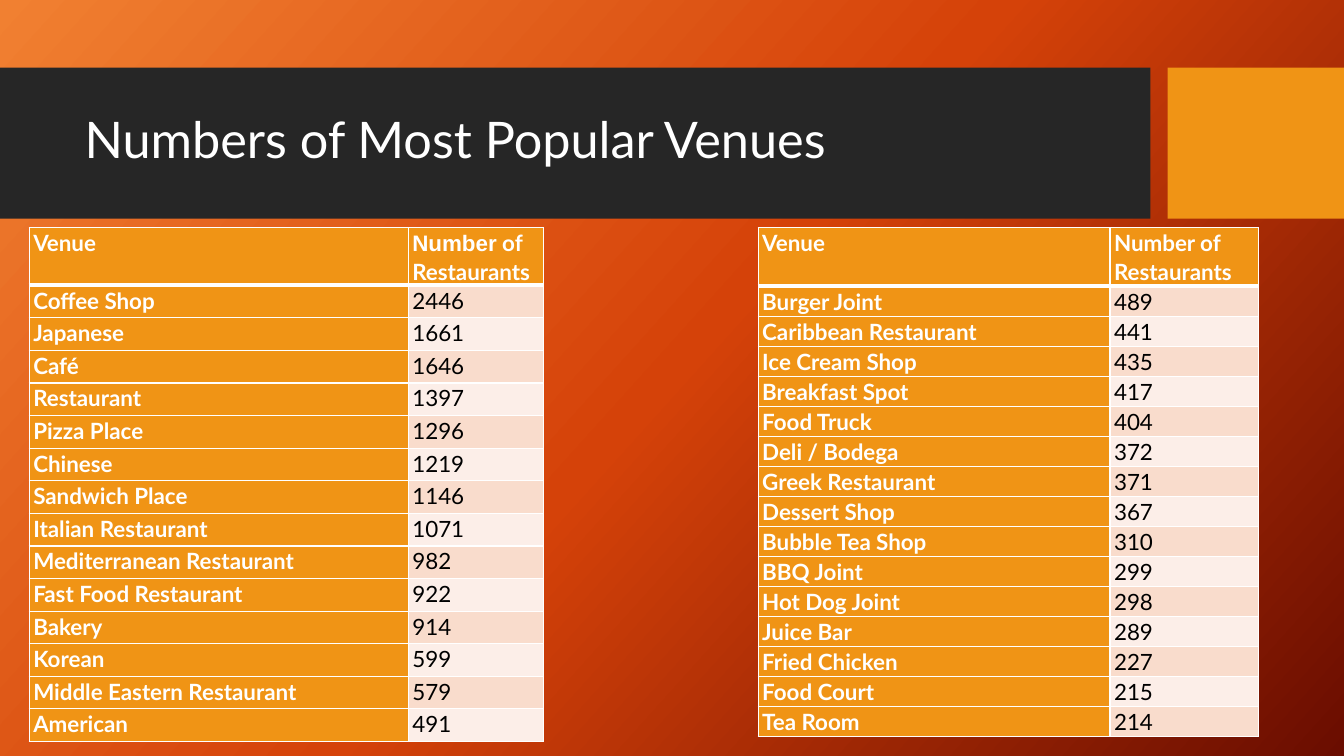
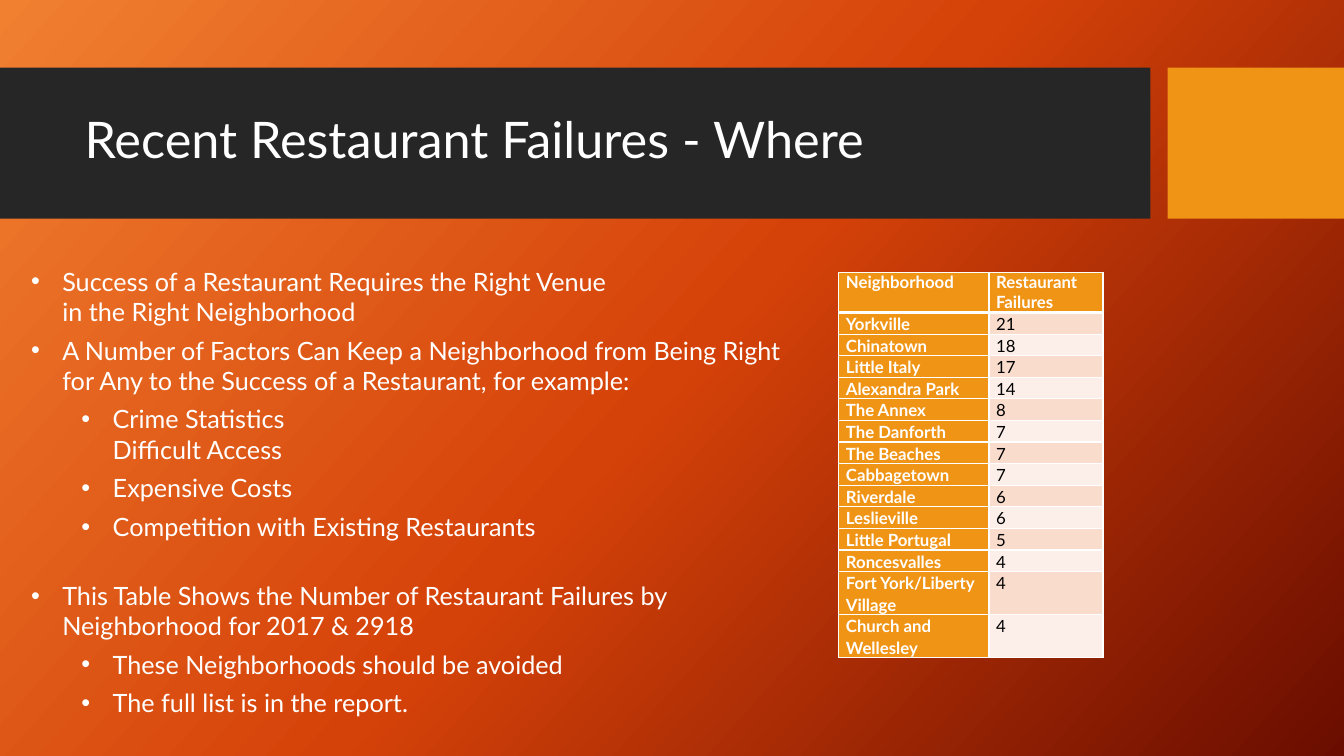
from pptx import Presentation
from pptx.dml.color import RGBColor as RGB
from pptx.enum.shapes import MSO_SHAPE as Shape
from pptx.enum.text import MSO_ANCHOR as Anchor
from pptx.oxml import parse_xml
from pptx.oxml.ns import nsdecls, qn
from pptx.util import Emu, Pt

PX = 9144
FONT = "Lato"
WHITE = RGB(0xFF, 0xFF, 0xFF)
BLACK = RGB(0x00, 0x00, 0x00)
CHARCOAL = RGB(0x26, 0x26, 0x26)
AMBER = RGB(0xF0, 0x94, 0x15)
BANDS = (RGB(0xF9, 0xDC, 0xCC), RGB(0xFC, 0xEE, 0xE8))
BACKDROP = ((0, RGB(0xF1, 0x80, 0x31)), (50, RGB(0xD5, 0x42, 0x09)), (100, RGB(0x6A, 0x0D, 0x00)))

VENUE_HEAD = ("Venue", "Number of\nRestaurants")
TOP_VENUES = (
    ("Coffee Shop", 2446), ("Japanese", 1661), ("Café", 1646), ("Restaurant", 1397),
    ("Pizza Place", 1296), ("Chinese", 1219), ("Sandwich Place", 1146),
    ("Italian Restaurant", 1071), ("Mediterranean Restaurant", 982),
    ("Fast Food Restaurant", 922), ("Bakery", 914), ("Korean", 599),
    ("Middle Eastern Restaurant", 579), ("American", 491),
)
NEXT_VENUES = (
    ("Burger Joint", 489), ("Caribbean Restaurant", 441), ("Ice Cream Shop", 435),
    ("Breakfast Spot", 417), ("Food Truck", 404), ("Deli / Bodega", 372),
    ("Greek Restaurant", 371), ("Dessert Shop", 367), ("Bubble Tea Shop", 310),
    ("BBQ Joint", 299), ("Hot Dog Joint", 298), ("Juice Bar", 289),
    ("Fried Chicken", 227), ("Food Court", 215), ("Tea Room", 214),
)
FAILURES = (
    ("Yorkville", 21), ("Chinatown", 18), ("Little Italy", 17), ("Alexandra Park", 14),
    ("The Annex", 8), ("The Danforth", 7), ("The Beaches", 7), ("Cabbagetown", 7),
    ("Riverdale", 6), ("Leslieville", 6), ("Little Portugal", 5), ("Roncesvalles", 4),
    ("Fort York/Liberty Village", 4), ("Church and Wellesley", 4),
)
REASONS = (
    (0, "Success of a Restaurant Requires the Right Venue\nin the Right Neighborhood"),
    (0, "A Number of Factors Can Keep a Neighborhood from Being Right\n"
        "for Any to the Success of a Restaurant, for example:"),
    (1, "Crime Statistics\nDifficult Access"),
    (1, "Expensive Costs"),
    (1, "Competition with Existing Restaurants\n"),
    (0, "This Table Shows the Number of Restaurant Failures by\nNeighborhood for 2017 & 2918"),
    (1, "These Neighborhoods should be avoided"),
    (1, "The full list is in the report."),
)


def emu(*lengths):
    """Turn px lengths into EMU."""
    return [Emu(round(length * PX)) for length in lengths]


def style(paragraph, size, color, bold=False):
    """Set the font of a whole paragraph."""
    font = paragraph.font
    font.name, font.size, font.bold = FONT, Pt(size), bold
    font.color.rgb = color


def paint_backdrop(master):
    """Give the master its diagonal gradient."""
    fill = master.background.fill
    fill.gradient()
    fill.gradient_angle = 318
    stops = master.element.find(".//" + qn("a:gsLst"))
    for stop in list(stops):
        stops.remove(stop)
    for percent, color in BACKDROP:
        stops.append(parse_xml(
            f'<a:gs {nsdecls("a")} pos="{percent * 1000}"><a:srgbClr val="{color}"/></a:gs>'))


def add_band(slide, box, color):
    """Draw one plain rectangle of the title strip."""
    band = slide.shapes.add_shape(Shape.RECTANGLE, *emu(*box))
    band.shadow.inherit = False
    band.fill.solid()
    band.fill.fore_color.rgb = color
    band.line.fill.background()


def add_titled_slide(deck, title):
    """Add a slide with the title strip."""
    slide = deck.slides.add_slide(deck.slide_layouts[6])
    add_band(slide, (0, 67, 1141, 150), CHARCOAL)
    add_band(slide, (1158, 67, 175, 150), AMBER)
    frame = slide.shapes.add_textbox(*emu(74, 82, 1051, 118)).text_frame
    frame.word_wrap = True
    frame.vertical_anchor = Anchor.MIDDLE
    heading = frame.paragraphs[0]
    heading.text = title
    heading.line_spacing = 0.9
    style(heading, 36, WHITE)
    return slide


def add_borders(cell, top, bottom):
    """Rule a cell in white, with top and bottom widths in points."""
    properties = cell._tc.get_or_add_tcPr()
    for side, width in (("L", 1), ("R", 1), ("T", top), ("B", bottom)):
        properties.append(parse_xml(
            f'<a:ln{side} {nsdecls("a")} w="{Pt(width)}"><a:solidFill>'
            f'<a:srgbClr val="{WHITE}"/></a:solidFill></a:ln{side}>'))


def fill_cell(cell, text, row, column, size, inset, spacing):
    """Write and colour one cell by its place in the table."""
    is_label = row == 0 or column == 0
    cell.margin_left, cell.margin_right = emu(inset, inset)
    cell.margin_top = cell.margin_bottom = 0
    add_borders(cell, 3 if row == 1 else 1, 3 if row == 0 else 1)
    cell.fill.solid()
    cell.fill.fore_color.rgb = AMBER if is_label else BANDS[(row - 1) % 2]
    cell.text_frame.text = str(text)
    for paragraph in cell.text_frame.paragraphs:
        paragraph.line_spacing = spacing
        style(paragraph, size, WHITE if is_label else BLACK, is_label)


def add_count_table(slide, box, label_width, head_height, head, counts,
                    size=16, inset=4, head_spacing=1.07, tall_rows=0):
    """Add a table of counts; the last tall_rows rows are two lines high."""
    width, height = box[2:]
    table = slide.shapes.add_table(len(counts) + 1, 2, *emu(*box)).table
    table.first_row = table.horz_banding = False
    for column, length in zip(table.columns, emu(label_width, width - label_width)):
        column.width = length
    weights = [1] * (len(counts) - tall_rows) + [2] * tall_rows
    unit = (height - head_height) / sum(weights)
    heights = emu(head_height, *(unit * weight for weight in weights))
    for index, (values, length) in enumerate(zip((head, *counts), heights)):
        table.rows[index].height = length
        for column, value in enumerate(values):
            fill_cell(table.cell(index, column), value, index, column, size, inset,
                      1.07 if index else head_spacing)
    return table


def add_bullets(slide, box, items):
    """Add a two-level bullet list."""
    frame = slide.shapes.add_textbox(*emu(*box)).text_frame
    frame.word_wrap = True
    for index, (level, text) in enumerate(items):
        item = frame.add_paragraph() if index else frame.paragraphs[0]
        item.text = text
        item.level = level
        item.space_before = Pt(6)
        properties = item._p.get_or_add_pPr()
        margin, hanging = emu(31 + 50 * level, -31)
        properties.set("marL", str(margin))
        properties.set("indent", str(hanging))
        properties.append(parse_xml(f'<a:buFont {nsdecls("a")} typeface="Arial"/>'))
        properties.append(parse_xml(f'<a:buChar {nsdecls("a")} char="•"/>'))
        style(item, 18, WHITE)


def add_venues_slide(deck):
    """Build the slide of the most popular venues."""
    slide = add_titled_slide(deck, "Numbers of Most Popular Venues")
    add_count_table(slide, (752, 226, 496, 505), 349, 58, VENUE_HEAD, NEXT_VENUES)
    top = add_count_table(slide, (29, 226, 510, 510), 376, 57, VENUE_HEAD, TOP_VENUES)
    count_head = top.cell(0, 1).text_frame.paragraphs[0]
    count_head.text = "Number"
    count_head.runs[0].font.name = "Arial"
    count_head.add_run().text = " of"


def add_failures_slide(deck):
    """Build the slide of failures by neighborhood."""
    slide = add_titled_slide(deck, "Recent Restaurant Failures - Where")
    add_count_table(slide, (832, 270, 262, 367), 149, 40,
                    ("Neighborhood", "Restaurant Failures"), FAILURES,
                    size=12, inset=7, head_spacing=1.0, tall_rows=2)
    add_bullets(slide, (21, 259, 775, 463), REASONS)


def main():
    """Build and save the deck."""
    deck = Presentation()
    deck.slide_width, deck.slide_height = emu(1333, 750)
    paint_backdrop(deck.slide_master)
    add_venues_slide(deck)
    add_failures_slide(deck)
    deck.save("out.pptx")


if __name__ == "__main__":
    main()
